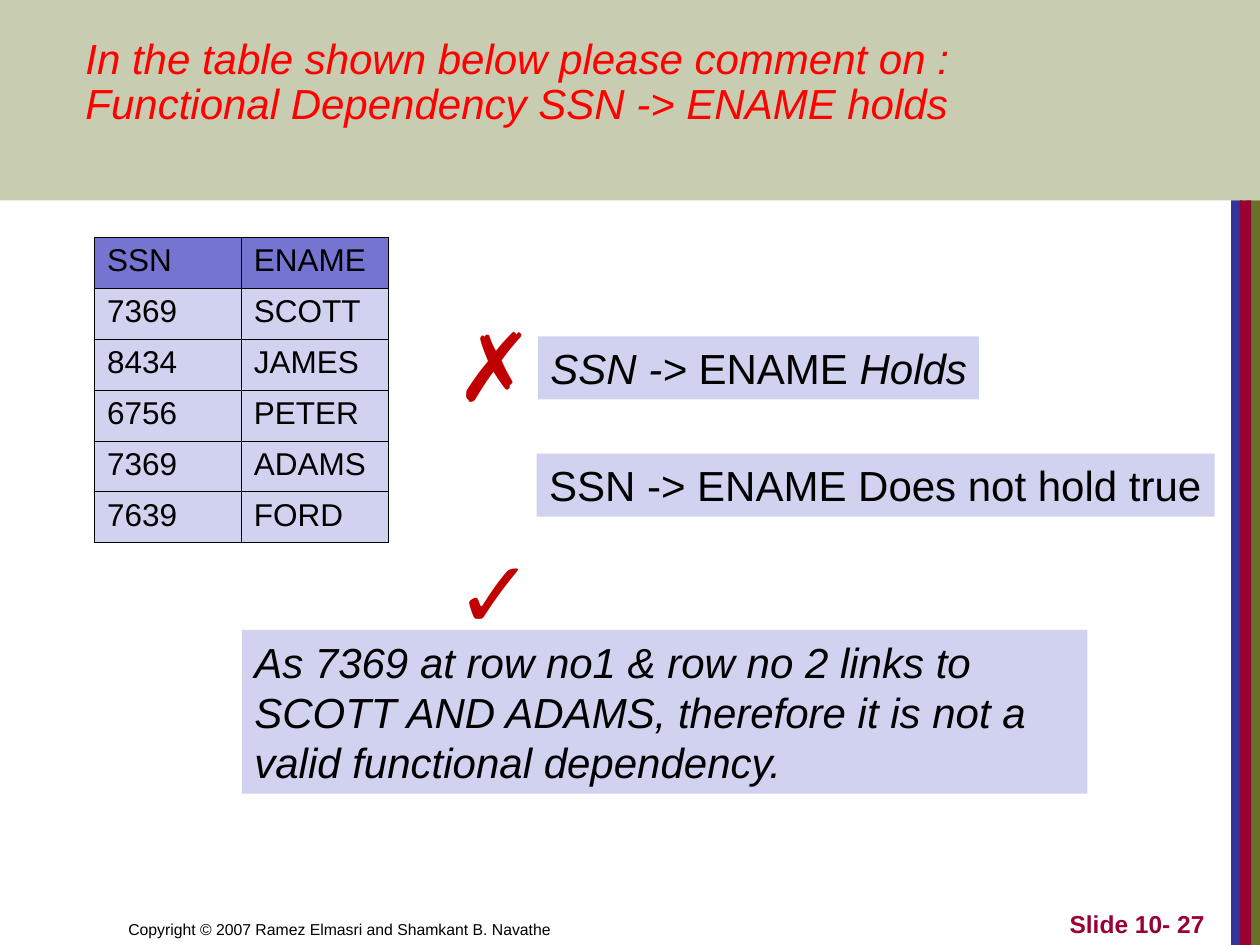
from lxml import etree
from pptx import Presentation
from pptx.dml.color import RGBColor
from pptx.enum.shapes import MSO_SHAPE
from pptx.enum.text import MSO_ANCHOR, PP_ALIGN
from pptx.oxml.ns import qn
from pptx.util import Inches, Pt

RECT = MSO_SHAPE.RECTANGLE
TOP, BOTTOM = MSO_ANCHOR.TOP, MSO_ANCHOR.BOTTOM
LEFT, RIGHT, JUSTIFY = PP_ALIGN.LEFT, PP_ALIGN.RIGHT, PP_ALIGN.JUSTIFY

W, H = 10, 7.5
BAND_H = 1.59
THEME = {
    "font": "Arial", "ink": "000000", "title": "FF0000", "mark": "C00000",
    "olive": "677228", "navy": "333399", "wine": "990033",
    "head": "7575D1", "panel": "D1D1F0",
    "body_pt": 24, "table_pt": 18, "mark_pt": 54, "number_pt": 14, "footer_pt": 9,
    "border_pt": 0.45, "band_alpha": 36,
}

STRIPES = [("olive", 9.89, 0.11), ("navy", 9.77, 0.09), ("wine", 9.84, 0.09)]
TITLE = [("In the table shown below please comment on :", LEFT),
         ("Functional Dependency SSN -> ENAME holds", JUSTIFY)]
ROWS = [("SSN", "ENAME"), ("7369", "SCOTT"), ("8434", "JAMES"),
        ("6756", "PETER"), ("7369", "ADAMS"), ("7639", "FORD")]
TABLE_BOX = (0.75, 1.88, 2.33, 2.43)
PANELS = [
    ((4.27, 2.67, 3.5, 0.5), False,
     [("SSN -> ", True), ("ENAME", False), (" Holds", True)]),
    ((4.26, 3.6, 5.38, 0.5), False, [("SSN -> ENAME Does not hold true", False)]),
    ((1.92, 5, 6.71, 1.3), True,
     [("As 7369 at row no1 & row no 2 links to SCOTT AND ADAMS, "
       "therefore it is not a valid functional dependency.", True)]),
]
MARKS = "✗ ✓"
FOOTER = "Copyright © 2007 Ramez Elmasri and Shamkant B. Navathe"
NUMBER = "Slide 10- 27"


def rgb(name):
    return RGBColor.from_string(THEME[name])


def box(shapes, at, fill):
    s = shapes.add_shape(RECT, *map(Inches, at))
    s.shadow.inherit = False
    s.fill.solid()
    s.fill.fore_color.rgb = rgb(fill)
    s.line.fill.background()
    return s


def style(p, size, color="ink", align=LEFT, bold=False, italic=None):
    p.alignment = align
    f = p.font
    f.name, f.size, f.bold = THEME["font"], Pt(THEME[size]), bold
    f.italic = italic
    f.color.rgb = rgb(color)


def frame(s, anchor=TOP, wrap=True):
    tf = s.text_frame
    tf.word_wrap = wrap
    tf.vertical_anchor = anchor
    return tf


def label(shapes, at, text, anchor=TOP, **kw):
    tf = frame(shapes.add_textbox(*map(Inches, at)), anchor)
    p = tf.paragraphs[0]
    p.text = text
    style(p, **kw)


def border(cell):
    pr = cell._tc.get_or_add_tcPr()
    for i, side in enumerate(("a:lnL", "a:lnR", "a:lnT", "a:lnB")):
        ln = etree.Element(qn(side), w=str(Pt(THEME["border_pt"])))
        fill = etree.SubElement(ln, qn("a:solidFill"))
        etree.SubElement(fill, qn("a:srgbClr"), val=THEME["ink"])
        pr.insert(i, ln)


def add_background(shapes):
    for color, x, w in STRIPES:
        box(shapes, (x, BAND_H, w, H - BAND_H), color)
    s = box(shapes, (0, 0, W, BAND_H), "olive")
    clr = s._element.spPr.find(qn("a:solidFill")).find(qn("a:srgbClr"))
    etree.SubElement(clr, qn("a:alpha"), val=str(THEME["band_alpha"] * 1000))


def add_title(shapes):
    tf = frame(shapes.add_textbox(*map(Inches, (0.08, 0.25, 8.75, 0.82))))
    for i, (text, align) in enumerate(TITLE):
        p = tf.add_paragraph() if i else tf.paragraphs[0]
        p.text = text
        p.line_spacing = 0.9
        p._p.get_or_add_pPr().set("marL", str(Inches(0.5)))
        style(p, "body_pt", "title", align, italic=True)


def add_names(shapes):
    n, m = len(ROWS), len(ROWS[0])
    table = shapes.add_table(n, m, *map(Inches, TABLE_BOX)).table
    for col in table.columns:
        col.width = Inches(TABLE_BOX[2] / m)
    for r, values in enumerate(ROWS):
        table.rows[r].height = Inches(TABLE_BOX[3] / n)
        for c, text in enumerate(values):
            cell = table.cell(r, c)
            cell.text = text
            cell.fill.solid()
            cell.fill.fore_color.rgb = rgb("panel" if r else "head")
            style(cell.text_frame.paragraphs[0], "table_pt")
            border(cell)


def add_panels(shapes):
    for at, wrap, runs in PANELS:
        p = frame(box(shapes, at, "panel"), wrap=wrap).paragraphs[0]
        style(p, "body_pt")
        for text, italic in runs:
            r = p.add_run()
            r.text = text
            r.font.italic = italic


def main():
    prs = Presentation()
    prs.slide_width, prs.slide_height = Inches(W), Inches(H)
    shapes = prs.slides.add_slide(prs.slide_layouts[6]).shapes
    add_background(shapes)
    label(shapes, (0.92, 7, 4.92, 0.5), FOOTER, BOTTOM, size="footer_pt")
    label(shapes, (7.58, 7, 2.08, 0.5), NUMBER, BOTTOM, size="number_pt",
          color="wine", align=RIGHT, bold=True)
    add_title(shapes)
    add_names(shapes)
    add_panels(shapes)
    label(shapes, (3.52, 2.39, 0.81, 1.9), MARKS, size="mark_pt", color="mark")
    prs.save("out.pptx")


if __name__ == "__main__":
    main()
